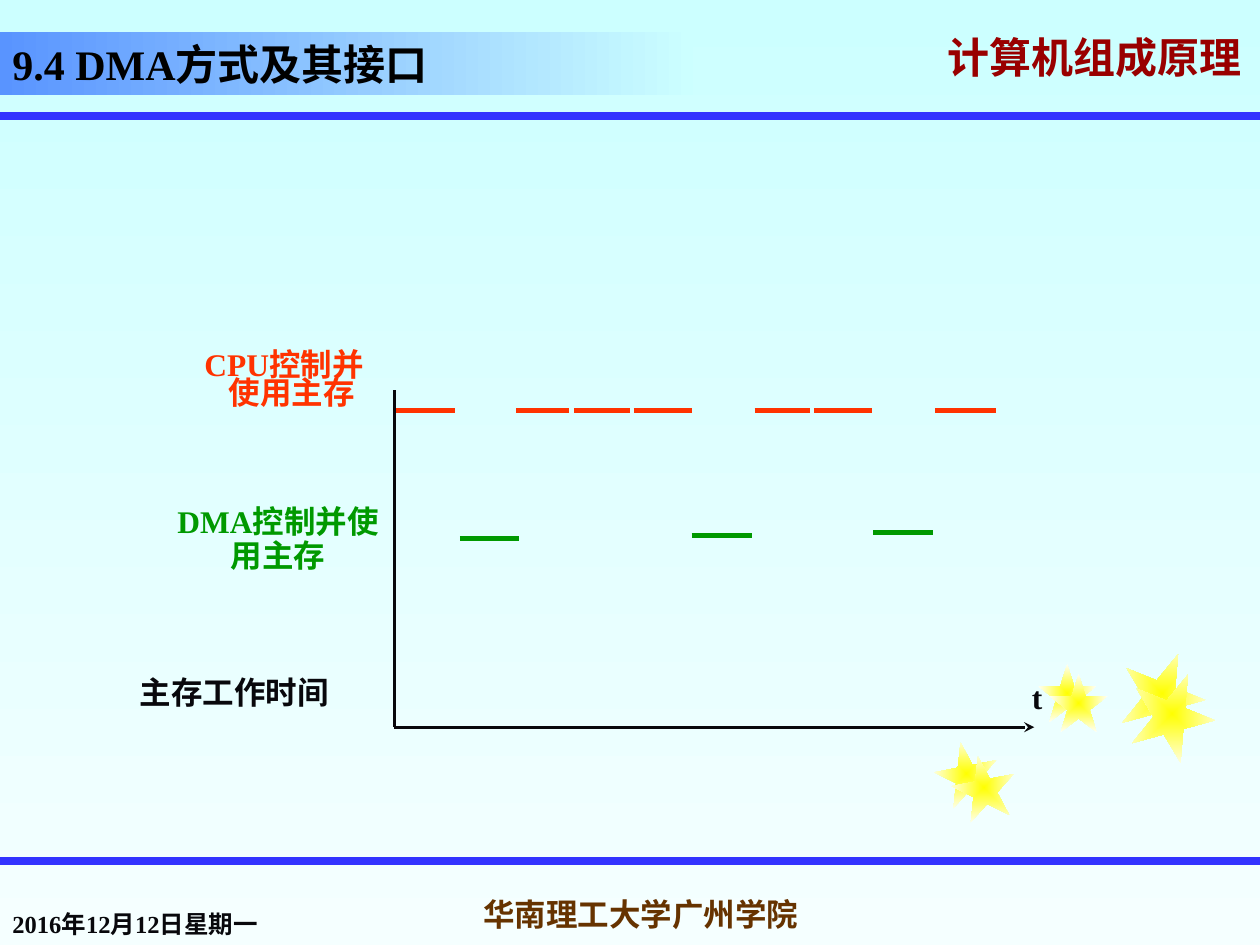
"""Build the slide on memory time-sharing between CPU and DMA."""
from lxml import etree
from pptx import Presentation
from pptx.dml.color import RGBColor
from pptx.enum.shapes import MSO_CONNECTOR, MSO_SHAPE
from pptx.enum.text import MSO_ANCHOR, PP_ALIGN
from pptx.oxml import parse_xml
from pptx.oxml.ns import nsdecls, qn
from pptx.util import Cm, Pt

STRAIGHT = MSO_CONNECTOR.STRAIGHT
RECTANGLE, STAR = MSO_SHAPE.RECTANGLE, MSO_SHAPE.STAR_5_POINT
TOP, MIDDLE, BOTTOM = MSO_ANCHOR.TOP, MSO_ANCHOR.MIDDLE, MSO_ANCHOR.BOTTOM
LEFT, CENTER, JUSTIFY = PP_ALIGN.LEFT, PP_ALIGN.CENTER, PP_ALIGN.JUSTIFY

SKY = RGBColor(0xCC, 0xFF, 0xFF)
PALE_SKY = RGBColor(0xF5, 0xFF, 0xFF)
TITLE_BLUE = RGBColor(0x59, 0x94, 0xFF)
RULE_BLUE = RGBColor(0x33, 0x33, 0xFF)
YELLOW = RGBColor(0xFF, 0xFF, 0x00)
PALE_YELLOW = RGBColor(0xFF, 0xFF, 0xF5)
DARK_RED = RGBColor(0x99, 0x00, 0x00)
BROWN = RGBColor(0x66, 0x33, 0x00)
BLACK = RGBColor(0x00, 0x00, 0x00)
INK = RGBColor(0x08, 0x08, 0x0C)
CPU_RED = RGBColor(0xFF, 0x33, 0x00)
DMA_GREEN = RGBColor(0x00, 0x99, 0x00)

SERIF, HAN = "Times New Roman", "Noto Sans CJK SC"

presentation = Presentation()
presentation.slide_width, presentation.slide_height = Cm(25.4), Cm(19.05)
slide = presentation.slides.add_slide(presentation.slide_layouts[6])
shapes = slide.shapes


def draw_line(x1, y1, x2, y2, color, width):
    line = shapes.add_connector(STRAIGHT, Cm(x1), Cm(y1), Cm(x2), Cm(y2))
    line.line.color.rgb = color
    line.line.width = Pt(width)
    etree.SubElement(line._element.spPr, qn("a:effectLst"))
    return line


def write(holder, lines, size, color, anchor=TOP, wrap=True, font=SERIF, **layout):
    frame = holder.text_frame
    frame.word_wrap = wrap
    frame.vertical_anchor = anchor
    for index, words in enumerate(lines):
        paragraph = frame.paragraphs[0] if index == 0 else frame.add_paragraph()
        for name, value in layout.items():
            setattr(paragraph, name, value)
        run = paragraph.add_run()
        run.text = words
        for name, value in {"size": Pt(size), "bold": True, "name": font}.items():
            setattr(run.font, name, value)
        run.font.color.rgb = color
        etree.SubElement(run._r.get_or_add_rPr(), qn("a:ea"), typeface=HAN)
    return frame.paragraphs


background = slide.background.fill
background.gradient()
background.gradient_angle = 270
for stop, color in zip(background.gradient_stops, (SKY, PALE_SKY)):
    stop.color.rgb = color

course = shapes.add_textbox(Cm(18.85), Cm(0.64), Cm(6.55), Cm(1.27))
course_name = write(course, ["计算机组成原理"], 24, DARK_RED, MIDDLE, font=HAN, line_spacing=0.7)[0]
course_name.runs[0]._r.rPr.find(qn("a:latin")).addprevious(parse_xml(
    f'<a:effectLst {nsdecls("a")}><a:outerShdw dist="35921" dir="2700000">'
    '<a:srgbClr val="808080"/></a:outerShdw></a:effectLst>'))

for rule_y in (2.34, 17.35):
    draw_line(0, rule_y, 25.4, rule_y, RULE_BLUE, 4.5)

for x, y, side, rotation in (
    (18.85, 14.96, 1.27, 349), (20.93, 13.39, 1.17, 0), (22.58, 13.13, 1.7, 22),
    (19.2, 15.24, 1.27, 349), (21.16, 13.59, 1.17, 0), (22.78, 13.54, 1.7, 22),
):
    star = shapes.add_shape(STAR, Cm(x), Cm(y), Cm(side), Cm(side))
    star.rotation = rotation
    star.shadow.inherit = False
    star.line.fill.background()
    star.fill.gradient()
    for stop, color in zip(star.fill.gradient_stops, (YELLOW, PALE_YELLOW)):
        stop.color.rgb = color
    linear = star._element.spPr.find(qn("a:gradFill")).find(qn("a:lin"))
    linear.getparent().replace(linear, parse_xml(
        f'<a:path {nsdecls("a")} path="shape">'
        '<a:fillToRect l="50000" t="50000" r="50000" b="50000"/></a:path>'))

title = shapes.add_shape(RECTANGLE, 0, Cm(0.64), Cm(13.97), Cm(1.27))
title.shadow.inherit = False
title.line.fill.background()
title.fill.gradient()
title.fill.gradient_angle = 0
for stop, color in zip(title.fill.gradient_stops, (TITLE_BLUE, SKY)):
    stop.color.rgb = color
write(title, ["9.4 DMA方式及其接口"], 24, BLACK, BOTTOM, alignment=JUSTIFY, line_spacing=0.8)

for start, end in (
    (7.95, 9.17), (10.41, 11.48), (11.58, 12.7), (12.78, 13.94),
    (15.21, 16.33), (16.41, 17.58), (18.85, 20.07),
):
    draw_line(start, 8.28, end, 8.28, CPU_RED, 3)
for start, end, y in ((9.27, 10.46, 10.85), (13.94, 15.16, 10.8), (17.6, 18.8, 10.74)):
    draw_line(start, y, end, y, DMA_GREEN, 3)

time_axis = draw_line(7.95, 14.66, 20.85, 14.66, INK, 1.5)
etree.SubElement(time_axis.line._get_or_add_ln(), qn("a:tailEnd"), type="stealth")
draw_line(7.95, 7.87, 7.95, 14.66, INK, 1.5)

cpu = shapes.add_textbox(Cm(3.3), Cm(6.83), Cm(4.85), Cm(1.55))
cpu_second = write(cpu, ["CPU控制并", "使用主存"], 18, CPU_RED, alignment=CENTER)[1]
cpu_second.line_spacing = 0.2
cpu_second.space_before = Pt(9)
cpu_second._p.get_or_add_pPr().set("marL", str(Cm(0.32)))

for x, y, width, height, words, size, color, anchor, wrap, layout in (
    (3.18, 10.08, 4.85, 1.63, "DMA控制并使用主存", 18, DMA_GREEN, TOP, True,
     {"alignment": CENTER, "line_spacing": 0.9}),
    (2.57, 13.44, 5.64, 1.02, "主存工作时间", 18, INK, TOP, True, {"alignment": LEFT}),
    (20.55, 13.54, 2.01, 1.02, "t", 18, INK, TOP, True, {"alignment": LEFT}),
    (0, 17.78, 5.61, 1.27, "2016年12月12日星期一", 14, INK, BOTTOM, True, {"alignment": LEFT}),
    (8.89, 17.78, 8.05, 1.27, "华南理工大学广州学院", 18, BROWN, MIDDLE, False,
     {"alignment": CENTER}),
):
    label = shapes.add_textbox(Cm(x), Cm(y), Cm(width), Cm(height))
    write(label, [words], size, color, anchor, wrap, **layout)

presentation.save("out.pptx")
